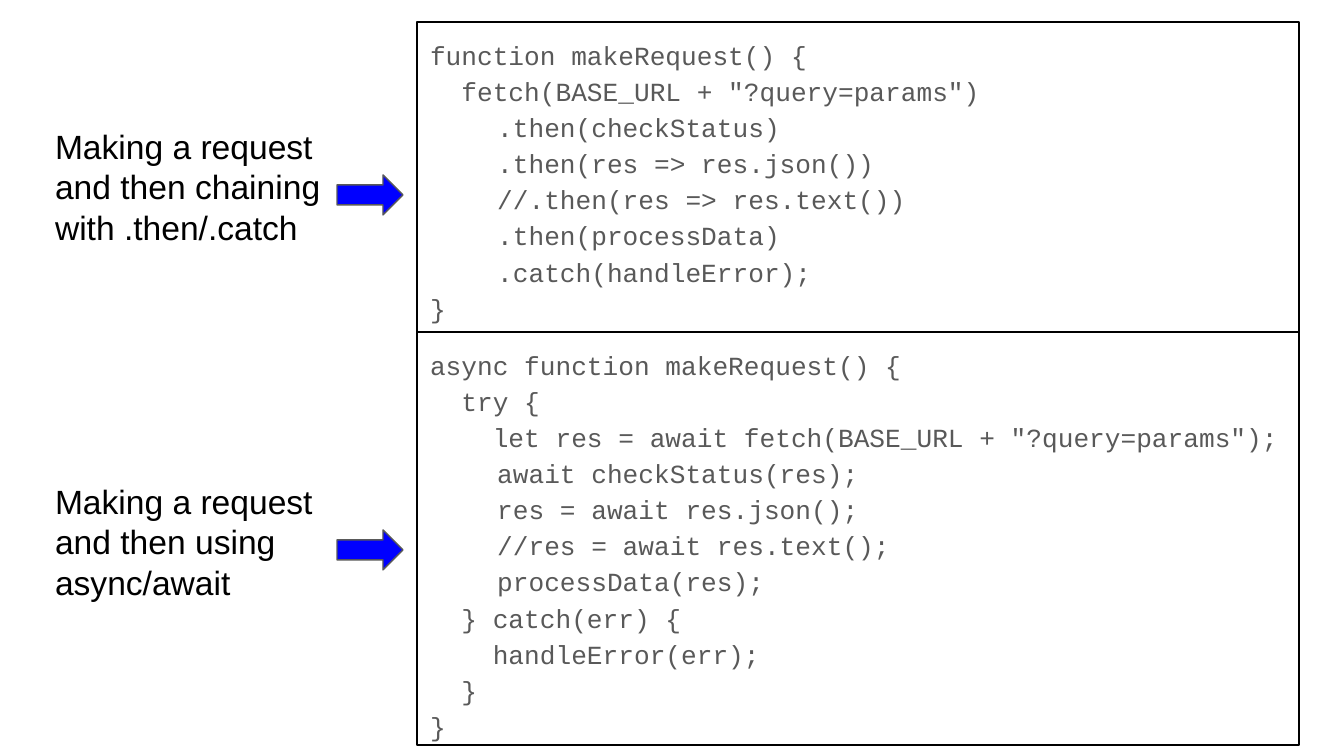
from dataclasses import dataclass

from lxml import etree
from pptx import Presentation
from pptx.dml.color import RGBColor
from pptx.enum.shapes import MSO_SHAPE
from pptx.enum.text import MSO_ANCHOR, MSO_AUTO_SIZE, PP_ALIGN
from pptx.oxml.ns import qn
from pptx.util import Emu, Pt

RIGHT_ARROW = MSO_SHAPE.RIGHT_ARROW
TOP = MSO_ANCHOR.TOP
LEFT = PP_ALIGN.LEFT
NO_AUTOFIT = MSO_AUTO_SIZE.NONE

EMU_PER_PX = 914400 / 134.4
SLIDE_SIZE = (1344, 756)
TWO_CONTENT_LAYOUT = 3
INSET = 13


@dataclass(frozen=True)
class Theme:
    text: RGBColor = RGBColor(0, 0, 0)
    code: RGBColor = RGBColor(0x59, 0x59, 0x59)
    border: RGBColor = RGBColor(0, 0, 0)
    arrow: RGBColor = RGBColor(0, 0, 0xFF)
    text_font: str = "Arial"
    code_font: str = "Courier New"
    text_size: int = 18
    code_size: int = 14
    code_spacing: float = 1.15
    line_width: float = 0.75


THEME = Theme()

CHAINED_CODE = """function makeRequest() {
  fetch(BASE_URL + "?query=params")
\t.then(checkStatus)
\t.then(res => res.json())
\t//.then(res => res.text())
\t.then(processData)
\t.catch(handleError);
}"""

ASYNC_CODE = """async function makeRequest() {
  try {
    let res = await fetch(BASE_URL + "?query=params");
\tawait checkStatus(res);
\tres = await res.json();
\t//res = await res.text();
\tprocessData(res);
  } catch(err) {
    handleError(err);
  }
}"""

SECTIONS = [
    ("Making a request and then chaining with .then/.catch", CHAINED_CODE, 22, 310, 113),
    ("Making a request and then using async/await", ASYNC_CODE, 332, 413, 468),
]


def px(length):
    return Emu(round(length * EMU_PER_PX))


def place(shape, left, top, width, height):
    shape.left, shape.top = px(left), px(top)
    shape.width, shape.height = px(width), px(height)


def outline(shape, color):
    shape.line.color.rgb = color
    shape.line.width = Pt(THEME.line_width)


def prepare_frame(frame):
    frame.word_wrap = True
    frame.auto_size = NO_AUTOFIT
    frame.vertical_anchor = TOP
    frame.margin_left = frame.margin_right = px(INSET)
    frame.margin_top = frame.margin_bottom = px(INSET)


def add_run(paragraph, text, font, size, color):
    run = paragraph.add_run()
    run.text = text
    run.font.name = font
    run.font.size = Pt(size)
    run.font.color.rgb = color


def remove_bullet(paragraph):
    properties = paragraph._p.get_or_add_pPr()
    properties.set("marL", "0")
    properties.set("indent", "0")
    etree.SubElement(properties, qn("a:buNone"))


def fill_code_box(placeholder, code, top, height):
    place(placeholder, 417, top, 882, height)
    outline(placeholder, THEME.border)
    frame = placeholder.text_frame
    prepare_frame(frame)
    for index, line in enumerate(code.splitlines()):
        paragraph = frame.add_paragraph() if index else frame.paragraphs[0]
        paragraph.alignment = LEFT
        paragraph.line_spacing = THEME.code_spacing
        paragraph.space_before = paragraph.space_after = Pt(0)
        remove_bullet(paragraph)
        add_run(paragraph, line, THEME.code_font, THEME.code_size, THEME.code)


def add_label(slide, text, top):
    label = slide.shapes.add_textbox(px(42), px(top), px(304), px(163))
    prepare_frame(label.text_frame)
    add_run(label.text_frame.paragraphs[0], text, THEME.text_font, THEME.text_size, THEME.text)


def add_arrow(slide, top):
    arrow = slide.shapes.add_shape(RIGHT_ARROW, px(337), px(top), px(66), px(40))
    arrow.shadow.inherit = False
    arrow.fill.solid()
    arrow.fill.fore_color.rgb = THEME.arrow
    outline(arrow, THEME.code)


def main():
    presentation = Presentation()
    presentation.slide_width, presentation.slide_height = map(px, SLIDE_SIZE)
    slide = presentation.slides.add_slide(presentation.slide_layouts[TWO_CONTENT_LAYOUT])
    title, *code_boxes = slide.placeholders
    title.element.getparent().remove(title.element)
    for code_box, (label, code, top, height, label_top) in zip(code_boxes, SECTIONS):
        fill_code_box(code_box, code, top, height)
        add_label(slide, label, label_top)
        add_arrow(slide, label_top + 62)
    presentation.save("out.pptx")


if __name__ == "__main__":
    main()
